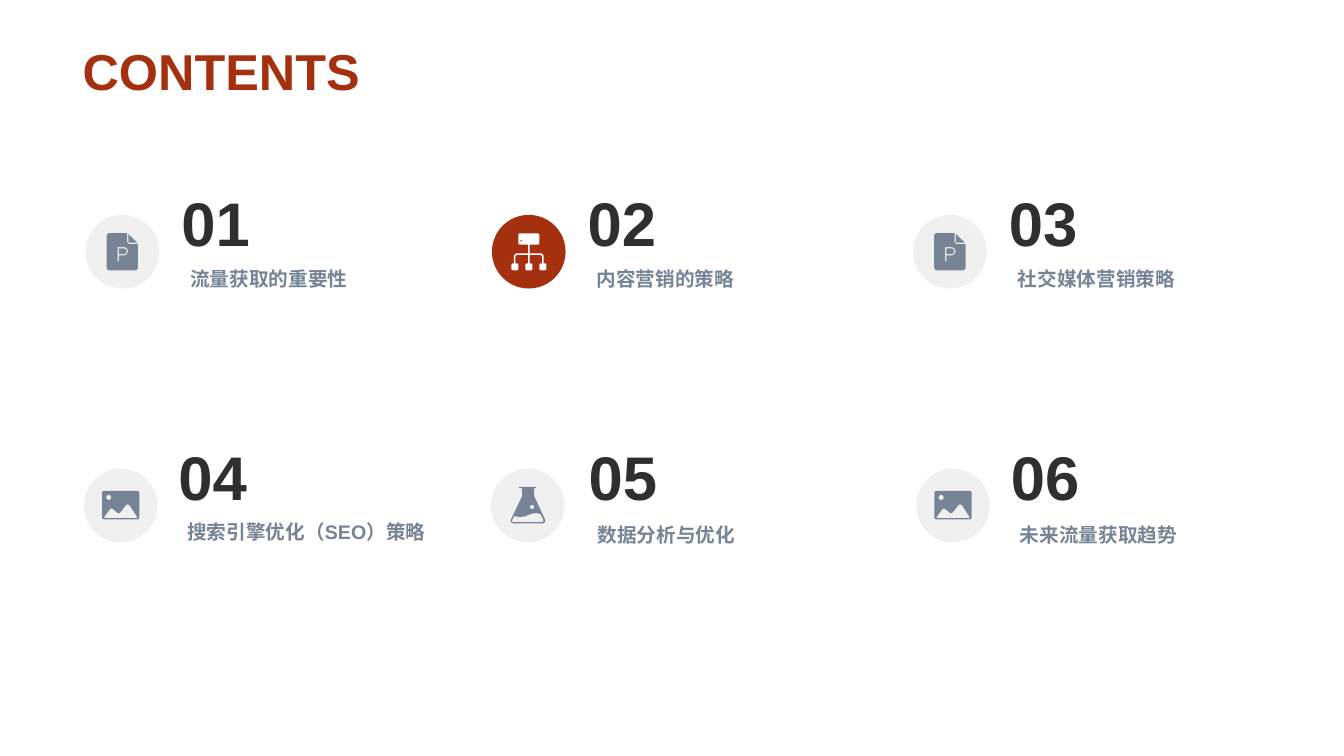
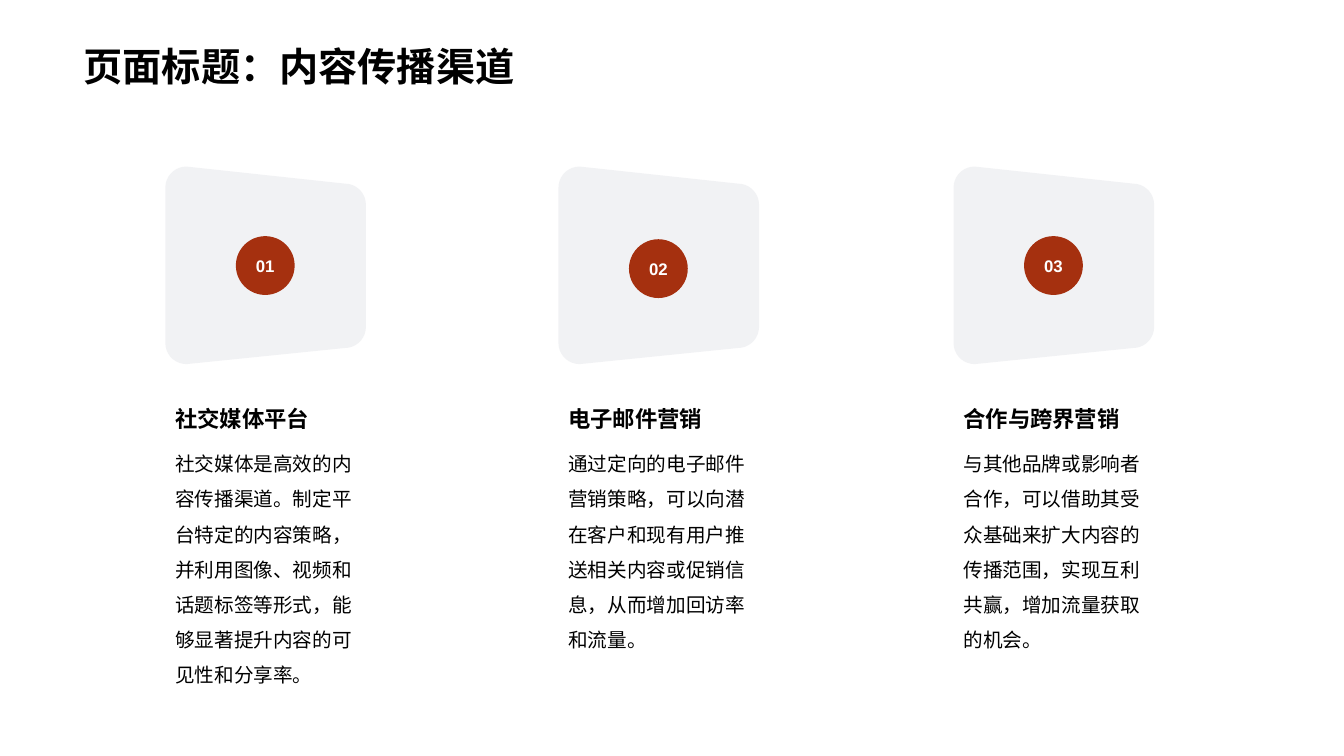
"""Build a contents slide and a channel slide about content marketing."""
from dataclasses import dataclass
from math import cos, radians, sin
from typing import Any, Optional

from lxml.etree import SubElement
from pptx import Presentation
from pptx.dml.color import RGBColor
from pptx.enum.shapes import MSO_SHAPE as Preset
from pptx.enum.text import MSO_ANCHOR as Anchor
from pptx.enum.text import MSO_AUTO_SIZE as AutoSize
from pptx.enum.text import PP_ALIGN as Align
from pptx.oxml.ns import qn
from pptx.util import Pt

Point = tuple[float, float]
Contour = list[Point]
Box = tuple[float, float, float, float]

COLORS = {
    "accent": "A5300F",
    "slate": "778495",
    "dark": "2F2F2F",
    "black": "000000",
    "white": "FFFFFF",
    "disc": "F0F0F0",
    "card": "E4E6EA",
}
LATIN, CHINESE = "Arial", "Noto Sans CJK SC"
TITLE_ONLY = 5
DISC_SIZE, BADGE_SIZE = 52.6, 42


@dataclass(frozen=True)
class TextStyle:
    size: float
    color: str
    font: str = LATIN
    bold: bool = True
    align: Any = Align.LEFT
    anchor: Any = Anchor.TOP
    wrap: bool = True
    spacing: Optional[float] = None


@dataclass(frozen=True)
class Topic:
    number: str
    label: str
    icon: str
    disc: Point
    text_left: float
    label_top: float
    active: bool = False


@dataclass(frozen=True)
class Channel:
    number: str
    heading: str
    body: str
    left: float
    badge_drop: float = 49.7


STYLES = {
    "contents": TextStyle(36, "accent", wrap=False),
    "page": TextStyle(28, "black", CHINESE, spacing=36),
    "number": TextStyle(44, "dark", align=Align.CENTER, anchor=Anchor.MIDDLE, wrap=False),
    "label": TextStyle(14, "slate"),
    "badge": TextStyle(12, "white", align=Align.CENTER, anchor=Anchor.MIDDLE),
    "heading": TextStyle(16, "black", CHINESE, anchor=Anchor.BOTTOM),
    "body": TextStyle(14, "black", CHINESE, bold=False, spacing=25.15),
}


def arc(x: float, y: float, radius: float, start: int, end: int) -> Contour:
    """Return points on a clockwise arc around a centre."""
    return [
        (x + radius * cos(radians(angle)), y + radius * sin(radians(angle)))
        for angle in range(start, end + 1, 10)
    ]


def rounded(left: float, top: float, width: float, height: float, radius: float) -> Contour:
    """Return the outline of a rounded rectangle."""
    near_x, far_x = left + radius, left + width - radius
    near_y, far_y = top + radius, top + height - radius
    return (
        arc(near_x, near_y, radius, 180, 270)
        + arc(far_x, near_y, radius, 270, 360)
        + arc(far_x, far_y, radius, 0, 90)
        + arc(near_x, far_y, radius, 90, 180)
    )


CARD = (
    arc(15.1, 15.1, 15.1, 180, 270)
    + arc(128.2, 27.3, 15.1, 270, 360)
    + arc(128.2, 114.5, 15.1, 0, 90)
    + arc(15.1, 126, 15.1, 90, 180)
)

ICONS: dict[str, list[Contour]] = {
    "document": [
        [(16.4, 13), (29.6, 13), (29.6, 19.4), (31, 20.9), (37.4, 20.9),
         (37.4, 38.2), (36, 39.7), (16.4, 39.7), (15, 38.2), (15, 14.4)],
        [(30.5, 13.7), (36.9, 19.9), (31, 19.9), (30.5, 19.4)],
        [(22.9, 23.1), *arc(27.3, 26, 2.9, -90, 90),
         (23.8, 28.9), (23.8, 33.2), (22.9, 33.2)],
        [(23.8, 24), *arc(27.3, 26, 2, -90, 90), (23.8, 28)],
    ],
    "hierarchy": [
        rounded(18.9, 13.2, 15, 8.1, 1.3),
        arc(20.9, 18.4, 0.6, 0, 350),
        [(25.8, 21.3), (27, 21.3), (27, 27.5), (35.5, 27.5), (37, 29), (37, 34.6),
         (35.9, 34.6), (35.9, 29.6), (35, 28.6), (27, 28.6), (27, 34.6),
         (25.8, 34.6), (25.8, 28.6), (17.7, 28.6), (16.8, 29.6), (16.8, 34.6),
         (15.7, 34.6), (15.7, 29), (17.2, 27.5), (25.8, 27.5)],
        *[rounded(13.9 + 10 * column, 34.6, 5, 5, 1.2) for column in range(3)],
    ],
    "landscape": [
        rounded(13, 15.9, 26.6, 20.2, 1.4),
        [(14.4, 34.6), (18.7, 28.9), (19.8, 28.3), (20.9, 28.9), (24.3, 31.8),
         (25.9, 31.4), (30.2, 25.9), (31.4, 25.4), (32.6, 26), (38.2, 34.6),
         (37.6, 35.2), (15, 35.2)],
        arc(17.8, 20.5, 1.8, 0, 350),
    ],
    "flask": [
        [(20.2, 13), (32.4, 13), (32.4, 13.8), (31, 13.8), (31, 19.6), (38.7, 36.2),
         (38.7, 38), (37.4, 39), (15.7, 39), (14.3, 38), (14.3, 36.4), (22.3, 19.6),
         (22.3, 13.8), (20.2, 13.8)],
        [(16.7, 33.8), (20.5, 34.5), (23.8, 34.2), (26.8, 33), (29.8, 32), (32.8, 31.7),
         (35.6, 32.4), (37.6, 36.7), (37.3, 37.9), (36.7, 38.2), (16, 38.2),
         (15.3, 37.9), (15.1, 36.9)],
        arc(29.5, 27.4, 1.5, 0, 350),
    ],
}

TOPICS = [
    Topic("01", "流量获取的重要性", "document", (61.2, 153.5), 128.9, 187.2),
    Topic("02", "内容营销的策略", "hierarchy", (351.4, 153.5), 419, 187.2, True),
    Topic("03", "社交媒体营销策略", "document", (652.3, 153.5), 720, 187.2),
    Topic("04", "搜索引擎优化（SEO）策略", "landscape", (59.9, 334.8), 126.7, 367.9),
    Topic("05", "数据分析与优化", "flask", (350.6, 334.8), 419.8, 370),
    Topic("06", "未来流量获取趋势", "landscape", (654.5, 334.8), 721.4, 370),
]

CHANNELS = [
    Channel(
        "01",
        "社交媒体平台",
        "社交媒体是高效的内容传播渠道。制定平台特定的内容策略，并利用图像、视频和话题标签等形式，能够显著提升内容的可见性和分享率。",
        118.1,
    ),
    Channel(
        "02",
        "电子邮件营销",
        "通过定向的电子邮件营销策略，可以向潜在客户和现有用户推送相关内容或促销信息，从而增加回访率和流量。",
        398.9,
        51.9,
    ),
    Channel(
        "03",
        "合作与跨界营销",
        "与其他品牌或影响者合作，可以借助其受众基础来扩大内容的传播范围，实现互利共赢，增加流量获取的机会。",
        681.1,
    ),
]


def apply(target: Any, values: dict[str, Any]) -> None:
    """Set every named attribute on the target."""
    for name, value in values.items():
        setattr(target, name, value)


def color_of(name: str) -> RGBColor:
    """Return a palette colour."""
    return RGBColor.from_string(COLORS[name])


def write(shape: Any, text: str, style: TextStyle) -> None:
    """Put one formatted paragraph into a shape."""
    frame = shape.text_frame
    apply(frame, {
        "word_wrap": style.wrap,
        "auto_size": AutoSize.NONE,
        "vertical_anchor": style.anchor,
    })
    paragraph = frame.paragraphs[0]
    apply(paragraph, {
        "alignment": style.align,
        "line_spacing": Pt(style.spacing) if style.spacing else 1.0,
    })
    run = paragraph.add_run()
    run.text = text
    apply(run.font, {"size": Pt(style.size), "bold": style.bold, "name": style.font})
    run.font.color.rgb = color_of(style.color)
    SubElement(run._r.get_or_add_rPr(), qn("a:ea"), typeface=style.font)


def paint(shape: Any, color: str, opacity: int = 100) -> None:
    """Give a shape a flat fill without line or shadow."""
    shape.shadow.inherit = False
    shape.line.fill.background()
    shape.fill.solid()
    shape.fill.fore_color.rgb = color_of(color)
    if opacity < 100:
        fill_color = shape._element.spPr.find(qn("a:solidFill"))[0]
        SubElement(fill_color, qn("a:alpha"), val=str(opacity * 1000))


def add_title_slide(presentation: Any, text: str, box: Box, style: TextStyle) -> Any:
    """Add a title-only slide with its title in place."""
    slide = presentation.slides.add_slide(presentation.slide_layouts[TITLE_ONLY])
    title = slide.shapes.title
    apply(title, dict(zip(("left", "top", "width", "height"), map(Pt, box))))
    write(title, text, style)
    return slide


def add_text(slide: Any, text: str, box: Box, style: TextStyle) -> None:
    """Add a text box."""
    write(slide.shapes.add_textbox(*map(Pt, box)), text, style)


def add_disc(slide: Any, left: float, top: float, size: float, color: str) -> Any:
    """Add a fully rounded square."""
    disc = slide.shapes.add_shape(
        Preset.ROUNDED_RECTANGLE, Pt(left), Pt(top), Pt(size), Pt(size)
    )
    disc.adjustments[0] = 0.5
    paint(disc, color)
    return disc


def add_outline(
    slide: Any, contours: list[Contour], origin: Point, color: str, opacity: int = 100
) -> None:
    """Add a freeform made of closed contours."""
    placed = [
        [(Pt(origin[0] + x), Pt(origin[1] + y)) for x, y in contour]
        for contour in contours
    ]
    builder = slide.shapes.build_freeform(*placed[0][0])
    for contour in placed:
        if contour is not placed[0]:
            builder.move_to(*contour[0])
        builder.add_line_segments(contour[1:], close=True)
    paint(builder.convert_to_shape(), color, opacity)


def add_topic(slide: Any, topic: Topic) -> None:
    """Draw one contents entry."""
    left, top = topic.disc
    add_disc(slide, left, top, DISC_SIZE, "accent" if topic.active else "disc")
    add_outline(slide, ICONS[topic.icon], topic.disc, "white" if topic.active else "slate")
    add_text(slide, topic.label, (topic.text_left, topic.label_top, 185.8, 24.5), STYLES["label"])
    add_text(slide, topic.number, (topic.text_left, top - 25.3, 50.4, 60.5), STYLES["number"])


def add_channel(slide: Any, channel: Channel) -> None:
    """Draw one channel column."""
    left, top = channel.left, 119
    add_outline(slide, [CARD], (left, top), "card", 50)
    badge = add_disc(slide, left + 50.4, top + channel.badge_drop, BADGE_SIZE, "accent")
    write(badge, channel.number, STYLES["badge"])
    add_text(slide, channel.heading, (left, 285.5, 154.1, 26.6), STYLES["heading"])
    add_text(slide, channel.body, (left, 311, 154.1, 184), STYLES["body"])


def main() -> None:
    """Build and save the presentation."""
    presentation = Presentation()
    apply(presentation, {"slide_width": Pt(960), "slide_height": Pt(540)})
    contents = add_title_slide(
        presentation, "CONTENTS", (51.8, 25.2, 214.6, 51.1), STYLES["contents"]
    )
    for topic in TOPICS:
        add_topic(contents, topic)
    channels = add_title_slide(
        presentation, "页面标题：内容传播渠道", (52.6, 24.5, 855.4, 48.2), STYLES["page"]
    )
    for channel in CHANNELS:
        add_channel(channels, channel)
    presentation.save("out.pptx")


if __name__ == "__main__":
    main()
